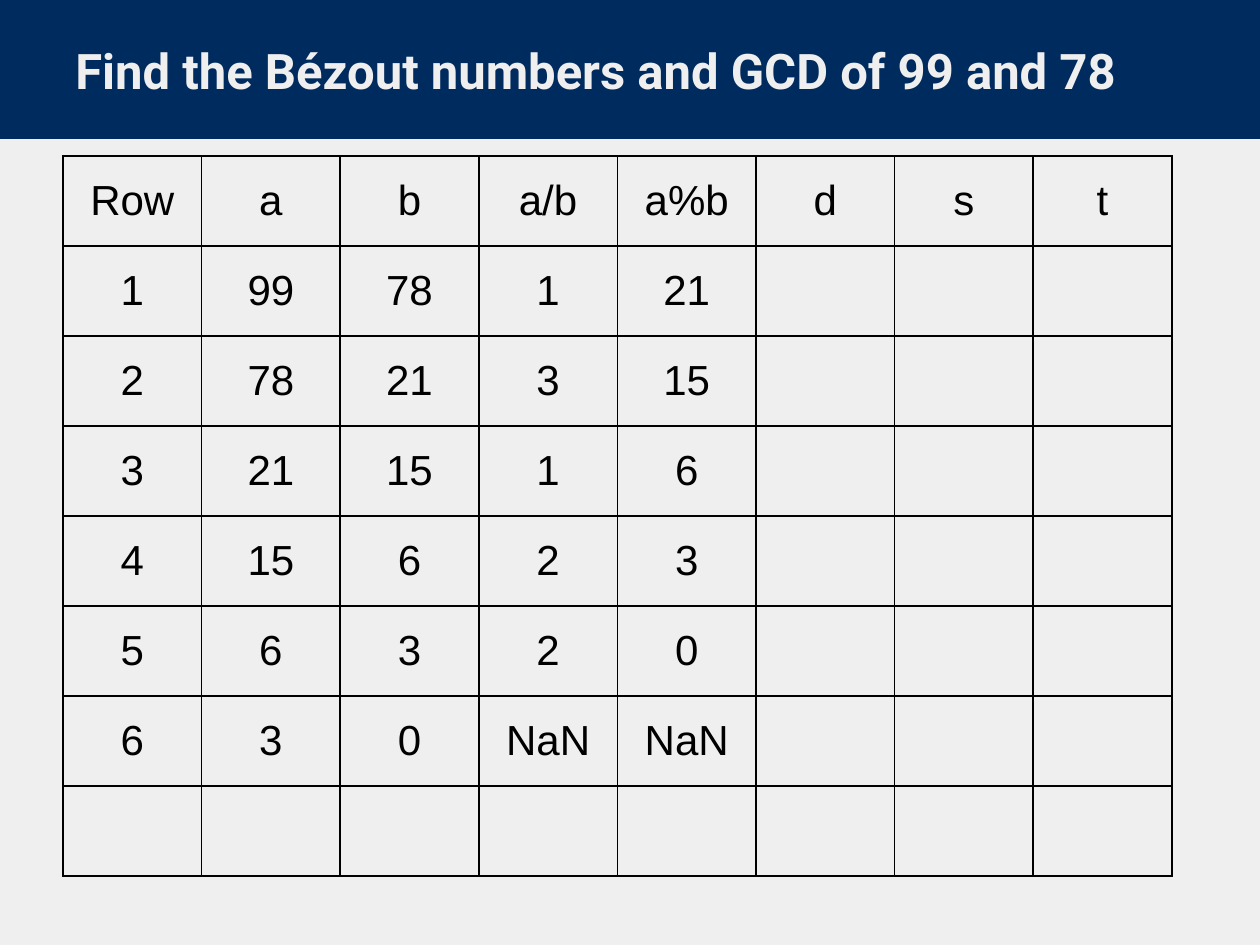
from lxml.etree import SubElement
from pptx import Presentation
from pptx.dml.color import RGBColor
from pptx.enum.shapes import MSO_SHAPE
from pptx.enum.text import MSO_ANCHOR, PP_ALIGN
from pptx.oxml.ns import qn
from pptx.util import Pt

NAVY = RGBColor(0x00, 0x2B, 0x5E)
PALE = RGBColor(0xEF, 0xEF, 0xEF)
BLACK = RGBColor(0x00, 0x00, 0x00)

TITLE_FONT = {"name": "Roboto", "size": Pt(28), "bold": True}
CELL_FONT = {"name": "Arial", "size": Pt(24), "bold": False}
COL_WIDTH, ROW_HEIGHT = 79.2, 51.43

ROWS = [
    ["Row", "a", "b", "a/b", "a%b", "d", "s", "t"],
    ["1", "99", "78", "1", "21"],
    ["2", "78", "21", "3", "15"],
    ["3", "21", "15", "1", "6"],
    ["4", "15", "6", "2", "3"],
    ["5", "6", "3", "2", "0"],
    ["6", "3", "0", "NaN", "NaN"],
    [],
]


def add_text(p, text, style, color):
    """Add a run with the given font values and colour."""
    r = p.add_run()
    r.text = text
    for name, value in style.items():
        setattr(r.font, name, value)
    r.font.color.rgb = color


def add_borders(cell):
    """Draw a thin black line on all four sides of a cell."""
    tc_pr = cell._tc.get_or_add_tcPr()
    for side in ("lnL", "lnR", "lnT", "lnB"):
        ln = SubElement(tc_pr, qn(f"a:{side}"), w=str(Pt(1)))
        fill = SubElement(ln, qn("a:solidFill"))
        SubElement(fill, qn("a:srgbClr"), val=str(BLACK))


prs = Presentation()
prs.slide_width, prs.slide_height = Pt(720), Pt(540)
s = prs.slides.add_slide(prs.slide_layouts[6])
s.background.fill.solid()
s.background.fill.fore_color.rgb = PALE

# Title band
band = s.shapes.add_shape(MSO_SHAPE.RECTANGLE, 0, 0, Pt(720), Pt(78.5))
band.shadow.inherit = False
band.fill.solid()
band.fill.fore_color.rgb = NAVY
band.line.color.rgb = NAVY
band.line.width = Pt(1.5)

title = s.shapes.add_textbox(Pt(36), Pt(16), Pt(648), Pt(48))
tf = title.text_frame
tf.word_wrap = True
tf.vertical_anchor = MSO_ANCHOR.BOTTOM
for side in ("left", "top", "right", "bottom"):
    setattr(tf, f"margin_{side}", Pt(7.2))
add_text(tf.paragraphs[0], "Find the Bézout numbers and GCD of 99 and 78",
         TITLE_FONT, PALE)

# Table of the Euclidean algorithm
n_rows, n_cols = len(ROWS), len(ROWS[0])
table = s.shapes.add_table(n_rows, n_cols, Pt(36), Pt(89.2),
                           Pt(n_cols * COL_WIDTH), Pt(n_rows * ROW_HEIGHT)).table
table.first_row = False
table.horz_banding = False
for column in table.columns:
    column.width = Pt(COL_WIDTH)
for row, values in zip(table.rows, ROWS):
    row.height = Pt(ROW_HEIGHT)
    for cell in row.cells:
        add_borders(cell)
        cell.fill.background()
        cell.vertical_anchor = MSO_ANCHOR.MIDDLE
    for cell, value in zip(row.cells, values):
        p = cell.text_frame.paragraphs[0]
        p.alignment = PP_ALIGN.CENTER
        add_text(p, value, CELL_FONT, BLACK)

prs.save("out.pptx")
